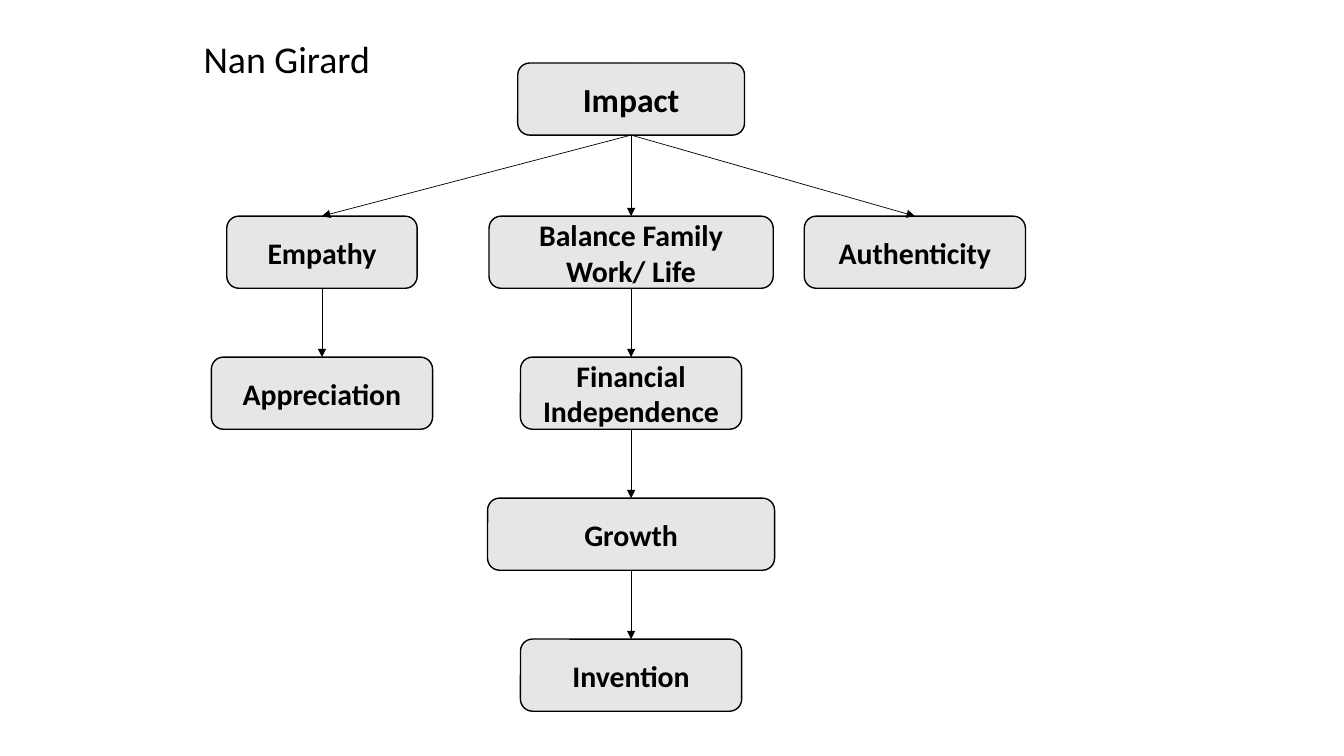
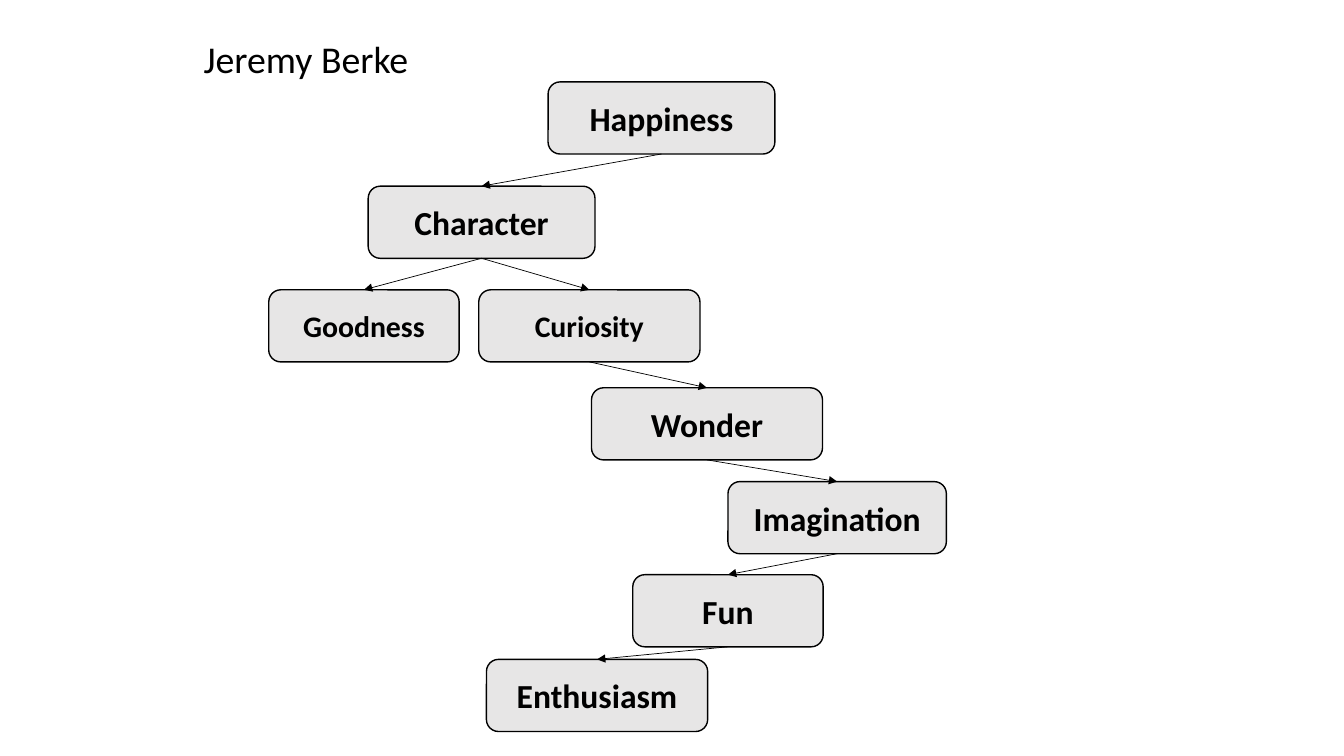
from lxml import etree
from pptx import Presentation
from pptx.dml.color import RGBColor
from pptx.enum.shapes import MSO_CONNECTOR, MSO_SHAPE
from pptx.enum.text import MSO_ANCHOR, MSO_AUTO_SIZE, PP_ALIGN
from pptx.oxml.ns import qn
from pptx.util import Pt

BLACK = RGBColor(0x00, 0x00, 0x00)
GREY = RGBColor(0xE7, 0xE6, 0xE6)
ROUND = MSO_SHAPE.ROUNDED_RECTANGLE
LINE = MSO_CONNECTOR.STRAIGHT
LEFT, CENTER = PP_ALIGN.LEFT, PP_ALIGN.CENTER
MIDDLE = MSO_ANCHOR.MIDDLE
FIXED = MSO_AUTO_SIZE.NONE

FONT = "Calibri"
LARGE, SMALL = 24, 21.3
TALL = 51.5
TOP, BOTTOM = 0, 2  # connection sites of a box
TITLE_ONLY = 5


def write(frame, text, size=SMALL, bold=False, align=CENTER):
    """Fill a text frame, one paragraph for each line of text."""
    frame.text = text
    frame.word_wrap = True
    frame.auto_size = FIXED
    frame.vertical_anchor = MIDDLE
    for para in frame.paragraphs:
        para.alignment = align
        font = para.font
        font.name, font.size, font.bold = FONT, Pt(size), bold
        font.color.rgb = BLACK


class Deck:
    """Holds the shared style and the slide being drawn."""

    def __init__(self):
        self.prs = Presentation()
        self.prs.slide_width, self.prs.slide_height = Pt(960), Pt(540)
        self.slide = None

    def page(self, name):
        self.slide = self.prs.slides.add_slide(self.prs.slide_layouts[TITLE_ONLY])
        title = self.slide.shapes.title
        title.left, title.top = Pt(138.2), Pt(23)
        title.width, title.height = Pt(566), Pt(38)
        write(title.text_frame, name, size=27, align=LEFT)

    def box(self, text, mid, top, wide, size=SMALL):
        """Draw a value box centred on mid."""
        shape = self.slide.shapes.add_shape(
            ROUND, Pt(mid - wide / 2), Pt(top), Pt(wide), Pt(TALL))
        shape.shadow.inherit = False
        shape.fill.solid()
        shape.fill.fore_color.rgb = GREY
        shape.line.color.rgb = BLACK
        shape.line.width = Pt(1)
        frame = shape.text_frame
        frame.margin_top = frame.margin_bottom = 0
        write(frame, text, size=size, bold=True)
        return shape

    def arrow(self, start, end):
        """Join the bottom of one box to the top of another."""
        link = self.slide.shapes.add_connector(LINE, 0, 0, 0, 0)
        link.begin_connect(start, BOTTOM)
        link.end_connect(end, TOP)
        link.line.color.rgb = BLACK
        link.line.width = Pt(0.5)
        etree.SubElement(link.line._get_or_add_ln(), qn("a:tailEnd"), type="triangle")
        etree.SubElement(link._element.spPr, qn("a:effectLst"))

    def tree(self, name, boxes, links):
        """Draw a page of boxes, joined by pairs of their labels."""
        self.page(name)
        nodes = {spec_row[0]: self.box(*spec_row) for spec_row in boxes}
        for start, end in links:
            self.arrow(nodes[start], nodes[end])


def chain(*names):
    return list(zip(names, names[1:]))


def main():
    deck = Deck()

    mid, side = 450.8, 230
    rows = [154.4 + 100.7 * n for n in range(4)]
    family, money = "Balance Family\nWork/ Life", "Financial\nIndependence"
    deck.tree(
        "Nan Girard",
        [
            ("Impact", mid, 45, 162, LARGE),
            ("Empathy", side, rows[0], 136),
            (family, mid, rows[0], 203),
            ("Authenticity", 653.5, rows[0], 158),
            ("Appreciation", side, rows[1], 158),
            (money, mid, rows[1], 158),
            ("Growth", mid, rows[2], 205),
            ("Invention", mid, rows[3], 158),
        ],
        chain("Impact", family, money, "Growth", "Invention")
        + chain("Impact", "Empathy", "Appreciation")
        + chain("Impact", "Authenticity"),
    )

    deck.tree(
        "Jeremy Berke",
        [
            ("Happiness", 472.5, 58.5, 162, LARGE),
            ("Character", 344, 133, 162, LARGE),
            ("Goodness", 260, 207, 136),
            ("Curiosity", 421, 207, 158),
            ("Wonder", 505, 277, 165, LARGE),
            ("Imagination", 598, 344, 156, LARGE),
            ("Fun", 520, 410.5, 136, LARGE),
            ("Enthusiasm", 426.5, 471, 158, LARGE),
        ],
        chain("Happiness", "Character", "Curiosity", "Wonder",
              "Imagination", "Fun", "Enthusiasm")
        + chain("Character", "Goodness"),
    )

    deck.prs.save("out.pptx")


if __name__ == "__main__":
    main()
